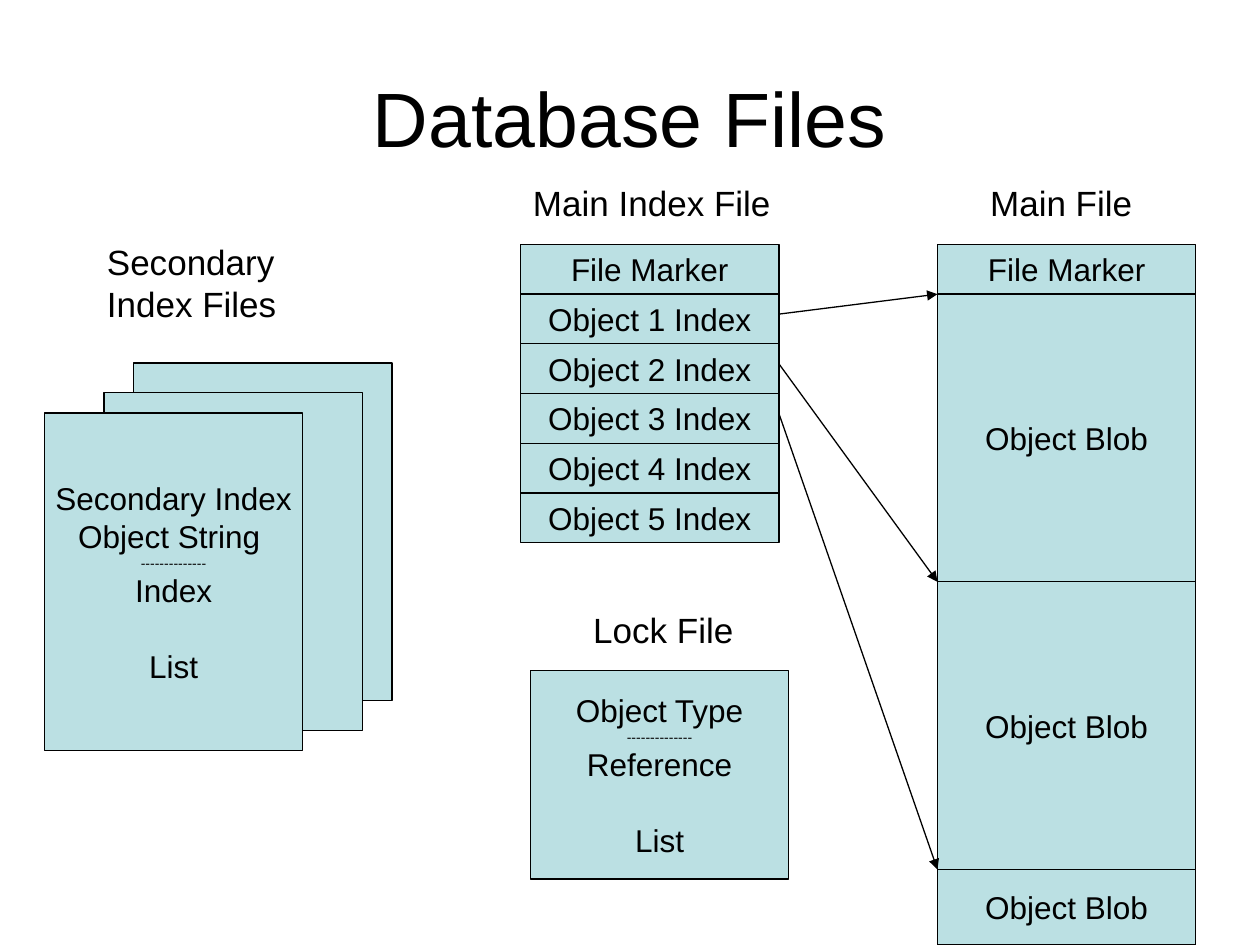
from dataclasses import dataclass

import pptx
import pptx.dml.color
import pptx.enum.shapes
import pptx.enum.text
import pptx.oxml.ns
import pptx.util
from lxml import etree

Pt = pptx.util.Pt
ALIGN = pptx.enum.text.PP_ALIGN
ANCHOR = pptx.enum.text.MSO_ANCHOR

FONT = "Arial"
INK = "000000"
PANEL = "BBE0E3"
LINE_WIDTH = 0.74
DIVIDER = "--------------"
BLOCK_WIDTH = 147.6
ROW_HEIGHT = 28.4
FILE_TOP = 139.7
INDEX_LEFT = 297.5
MAIN_LEFT = 535.7


@dataclass
class Line:
    text: str
    size: float = 18
    gap: float = 0


@dataclass
class Block:
    left: float
    top: float
    height: float
    lines: tuple[Line, ...] = ()


@dataclass
class Label:
    left: float
    top: float
    width: float
    height: float
    lines: tuple[Line, ...]
    align: ALIGN = ALIGN.LEFT
    anchor: ANCHOR = ANCHOR.TOP


def rgb(value: str) -> pptx.dml.color.RGBColor:
    return pptx.dml.color.RGBColor.from_string(value)


def write(frame, lines: tuple[Line, ...], align: ALIGN, anchor: ANCHOR, wrap: bool) -> None:
    frame.word_wrap = wrap
    frame.vertical_anchor = anchor
    for number, line in enumerate(lines):
        paragraph = frame.add_paragraph() if number else frame.paragraphs[0]
        paragraph.text = line.text
        paragraph.alignment = align
        paragraph.space_before = Pt(line.gap)
        paragraph.font.name = FONT
        paragraph.font.size = Pt(line.size)
        paragraph.font.color.rgb = rgb(INK)


def draw_block(slide, block: Block) -> None:
    rect = slide.shapes.add_shape(
        pptx.enum.shapes.MSO_SHAPE.RECTANGLE,
        Pt(block.left), Pt(block.top), Pt(BLOCK_WIDTH), Pt(block.height))
    rect.shadow.inherit = False
    rect.fill.solid()
    rect.fill.fore_color.rgb = rgb(PANEL)
    rect.line.color.rgb = rgb(INK)
    rect.line.width = Pt(LINE_WIDTH)
    if block.lines:
        write(rect.text_frame, block.lines, ALIGN.CENTER, ANCHOR.MIDDLE, wrap=False)


def draw_label(slide, label: Label) -> None:
    box = slide.shapes.add_textbox(
        Pt(label.left), Pt(label.top), Pt(label.width), Pt(label.height))
    write(box.text_frame, label.lines, label.align, label.anchor, wrap=True)


def draw_arrow(slide, x1: float, y1: float, x2: float, y2: float) -> None:
    arrow = slide.shapes.add_connector(
        pptx.enum.shapes.MSO_CONNECTOR.STRAIGHT, Pt(x1), Pt(y1), Pt(x2), Pt(y2))
    arrow.line.color.rgb = rgb(INK)
    arrow.line.width = Pt(LINE_WIDTH)
    qn = pptx.oxml.ns.qn
    etree.SubElement(arrow._element.spPr.find(qn("a:ln")), qn("a:tailEnd"), type="triangle")
    etree.SubElement(arrow._element.spPr, qn("a:effectLst"))


def stack(left: float, parts: list[tuple[str, float]]) -> list[Block]:
    blocks, top = [], FILE_TOP
    for text, height in parts:
        blocks.append(Block(left, top, height, (Line(text),)))
        top += height
    return blocks


presentation = pptx.Presentation()
presentation.slide_width, presentation.slide_height = Pt(720), Pt(540)
slide = presentation.slides.add_slide(presentation.slide_layouts[6])

# Title and file headings
labels = [
    Label(36, 21.6, 648, 90, (Line("Database Files", 44),), ALIGN.CENTER, ANCHOR.MIDDLE),
    Label(558.7, 100.1, 100, 31.7, (Line("Main File", 20),)),
    Label(297.5, 100.1, 155, 31.7, (Line("Main Index File", 20),)),
    Label(331.9, 344, 100, 31.7, (Line("Lock File", 20),)),
    Label(54, 133.9, 120, 55.4, (Line("Secondary ", 20), Line("Index Files", 20))),
]
for label in labels:
    draw_label(slide, label)

# Main index file and main file
main_index = stack(INDEX_LEFT, [("File Marker", ROW_HEIGHT)] + [
    (f"Object {number} Index", ROW_HEIGHT) for number in range(1, 6)])
main_file = stack(MAIN_LEFT, [
    ("File Marker", ROW_HEIGHT), ("Object Blob", 164.4),
    ("Object Blob", 164.4), ("Object Blob", 43.1)])

# Secondary index files and lock file; the gap leaves one line free above "List"
list_line = Line("List", gap=21.7)
secondary = [
    Block(76.4, 207.5, 192.8),
    Block(59.5, 224.5, 192.8),
    Block(25.4, 236, 192.8, (
        Line("Secondary Index"), Line("Object String "), Line(DIVIDER, 8),
        Line("Index"), list_line)),
]
lock_file = Block(303.1, 383.3, 119, (
    Line("Object Type"), Line(DIVIDER, 8), Line("Reference"), list_line))
for block in [*secondary, *main_index, *main_file, lock_file]:
    draw_block(slide, block)

# Arrows from each object index to its blob
for index_row, blob in zip(main_index[1:], main_file[1:]):
    draw_arrow(slide, INDEX_LEFT + BLOCK_WIDTH, index_row.top + 11.4, MAIN_LEFT, blob.top)

presentation.save("out.pptx")
